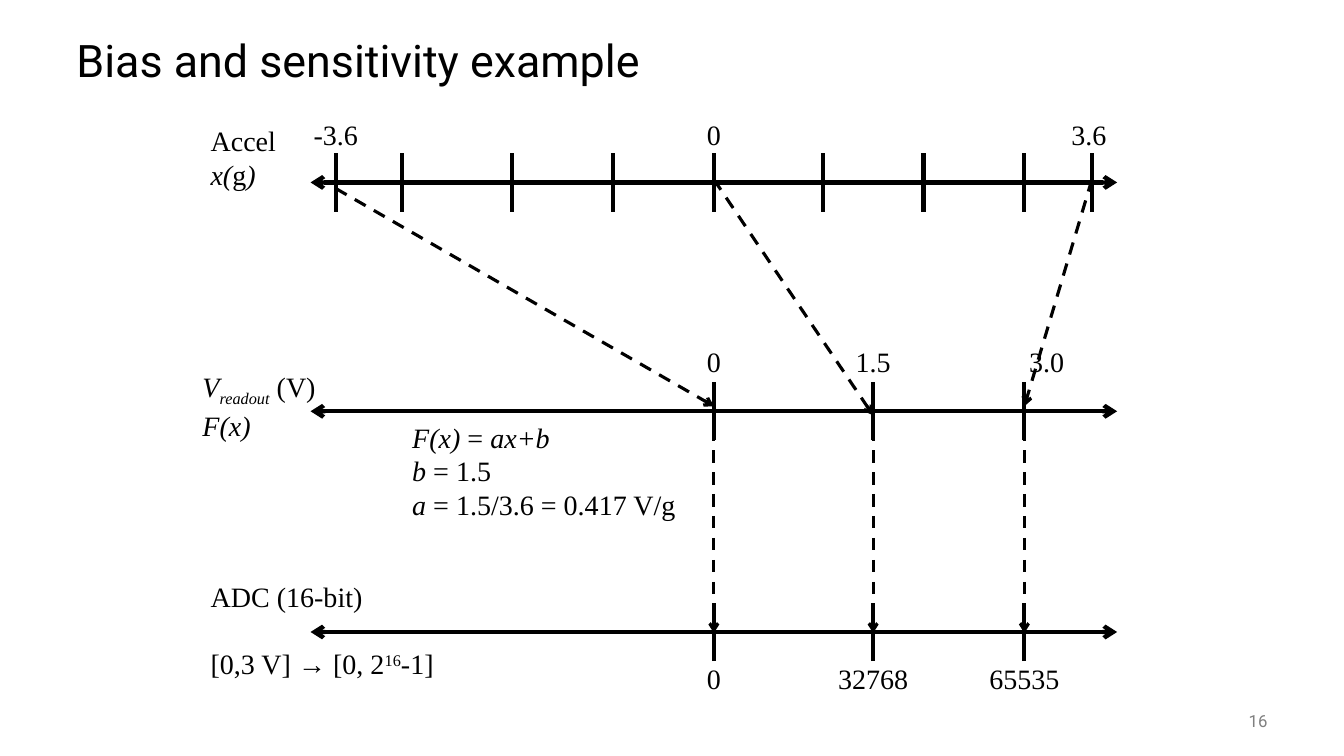
import pptx
import pptx.dml.color
import pptx.enum.dml
import pptx.enum.shapes
import pptx.enum.text
import pptx.oxml
import pptx.oxml.ns
import pptx.util

Inches = pptx.util.Inches
Pt = pptx.util.Pt
ALIGN = pptx.enum.text.PP_ALIGN
ANCHOR = pptx.enum.text.MSO_ANCHOR
BLACK, GREY = "000000", "808080"
SERIF = {"name": "Times New Roman", "size": Pt(20)}
ITALIC = {"italic": True}
ZERO, HALF, FULL = 7.08, 8.66, 10.16
LOW, HIGH = 3.33, 10.83
AXIS_LEFT, AXIS_WIDTH, TICK_HEIGHT = 3.08, 8, 0.58
ACCEL_Y, VOLT_Y, ADC_Y = 1.81, 4.08, 6.27
GLYPH_WIDTHS = {".": 0.07, "-": 0.09}


def color(value):
    """Return a colour from a hex string."""
    return pptx.dml.color.RGBColor.from_string(value)


def text(s, box, paragraphs, font=SERIF, fill=BLACK, wrap=False, anchor=ANCHOR.TOP, **layout):
    """Place paragraphs of (text, format, baseline) runs in a box."""
    sp = s.shapes.add_textbox(*map(Inches, box))
    tf = sp.text_frame
    tf.word_wrap = wrap
    tf.vertical_anchor = anchor
    if not wrap:
        tf.auto_size = pptx.enum.text.MSO_AUTO_SIZE.SHAPE_TO_FIT_TEXT
    for i, runs in enumerate(paragraphs):
        p = tf.paragraphs[0] if i == 0 else tf.add_paragraph()
        for key, value in layout.items():
            if i or key != "space_before":
                setattr(p, key, value)
        for content, style, baseline in runs:
            r = p.add_run()
            r.text = content
            for key, value in {**font, **style}.items():
                setattr(r.font, key, value)
            r.font.color.rgb = color(fill)
            if baseline:
                r._r.get_or_add_rPr().set("baseline", str(baseline * 1000))
    return sp


def line(s, start, end, width=3, dashed=False, arrows=()):
    """Draw a straight line with arrowheads at the named ends."""
    c = s.shapes.add_connector(
        pptx.enum.shapes.MSO_CONNECTOR.STRAIGHT, *map(Inches, (*start, *end)))
    c.line.color.rgb = color(BLACK)
    c.line.width = Pt(width)
    if dashed:
        c.line.dash_style = pptx.enum.dml.MSO_LINE.DASH
    ln = c.line._get_or_add_ln()
    for name in arrows:
        ln.append(pptx.oxml.parse_xml(
            f'<a:{name} {pptx.oxml.ns.nsdecls("a")} type="arrow"/>'))
    c._element.spPr.append(pptx.oxml.parse_xml(
        f'<a:effectLst {pptx.oxml.ns.nsdecls("a")}/>'))


def axis(s, box, ticks, labels, label_offset):
    """Draw a two-headed axis through the box with ticks and centred labels."""
    left, top, width, height = box
    y = top + height / 2
    line(s, (left, y), (left + width, y), arrows=("headEnd", "tailEnd"))
    for x in ticks:
        line(s, (x, top + height), (x, top))
    for x, label in labels:
        w = 0.2 + sum(GLYPH_WIDTHS.get(ch, 0.14) for ch in label)
        text(s, (x - w / 2, y + label_offset, w, 0.44),
             [[(label, {}, 0)]], alignment=ALIGN.CENTER)


def heading(s, box):
    """Place the slide title."""
    text(s, box, [[("Bias and sensitivity example", {}, 0)]],
         {"name": "Roboto", "size": Pt(32)}, wrap=True,
         anchor=ANCHOR.MIDDLE, line_spacing=0.9)


def page_number(s, box):
    """Place the page number."""
    text(s, box, [[("16", {}, 0)]], {"name": "Roboto", "size": Pt(12)}, GREY,
         wrap=True, anchor=ANCHOR.MIDDLE, alignment=ALIGN.RIGHT)


def axes(s, left, width):
    """Draw the acceleration, voltage and ADC axes."""
    rows = [
        (ACCEL_Y, [LOW, 3.99, 5.08, 6.08, ZERO, 8.16, 9.16, FULL, HIGH],
         [(LOW, "-3.6"), (ZERO, "0"), (10.8, "3.6")], -0.69),
        (VOLT_Y, [ZERO, HALF, FULL],
         [(ZERO, "0"), (HALF, "1.5"), (10.38, "3.0")], -0.71),
        (ADC_Y, [ZERO, HALF, FULL],
         [(ZERO, "0"), (HALF, "32768"), (FULL, "65535")], 0.24),
    ]
    for y, ticks, labels, offset in rows:
        axis(s, (left, y - TICK_HEIGHT / 2, width, TICK_HEIGHT), ticks, labels, offset)


def mappings(s):
    """Draw the dashed arrows from each axis to the next."""
    slanted = [((LOW, 1.87), (ZERO, 4.03)), ((ZERO, 1.78), (HALF, 4.12)),
               ((HIGH, 1.78), (FULL, 4.03))]
    vertical = [((x, 4.03), (x, 6.28)) for x in (ZERO, HALF, FULL)]
    for start, end in slanted + vertical:
        line(s, start, end, 2.25, True, ("tailEnd",))


def captions(s):
    """Name the axes and show the transfer function."""
    text(s, (1.99, 1.18, 0.88, 0.77), [
        [("Accel", {}, 0)],
        [("x(", ITALIC, 0), ("g", {}, 0), (")", ITALIC, 0)]])
    text(s, (1.91, 3.62, 1.44, 0.77), [
        [("V", ITALIC, 0), ("readout", ITALIC, -25), (" (V)", {}, 0)],
        [("F(x)", ITALIC, 0)]])
    text(s, (3.99, 4.12, 2.86, 1.11), [
        [("F(x)", ITALIC, 0), (" = ", {}, 0), ("ax+b", ITALIC, 0)],
        [("b", ITALIC, 0), (" = 1.5", {}, 0)],
        [("a", ITALIC, 0), (" = 1.5/3.6 = 0.417 V/g", {}, 0)]])
    text(s, (1.99, 5.7, 2.45, 1.11), [
        [("ADC (16-bit)", {}, 0)],
        [("[0,3 V] → [0, 2", {}, 0), ("16", {}, 30), ("-1]", {}, 0)]],
        space_before=Pt(24))


def main():
    """Build and save the slide."""
    prs = pptx.Presentation()
    prs.slide_width, prs.slide_height = Inches(13.33), Inches(7.5)
    s = prs.slides.add_slide(prs.slide_layouts[6])
    heading(s, (0.66, 0.25, 12, 0.75))
    axes(s, AXIS_LEFT, AXIS_WIDTH)
    mappings(s)
    captions(s)
    page_number(s, (11.67, 6.95, 1, 0.4))
    prs.save("out.pptx")


if __name__ == "__main__":
    main()
